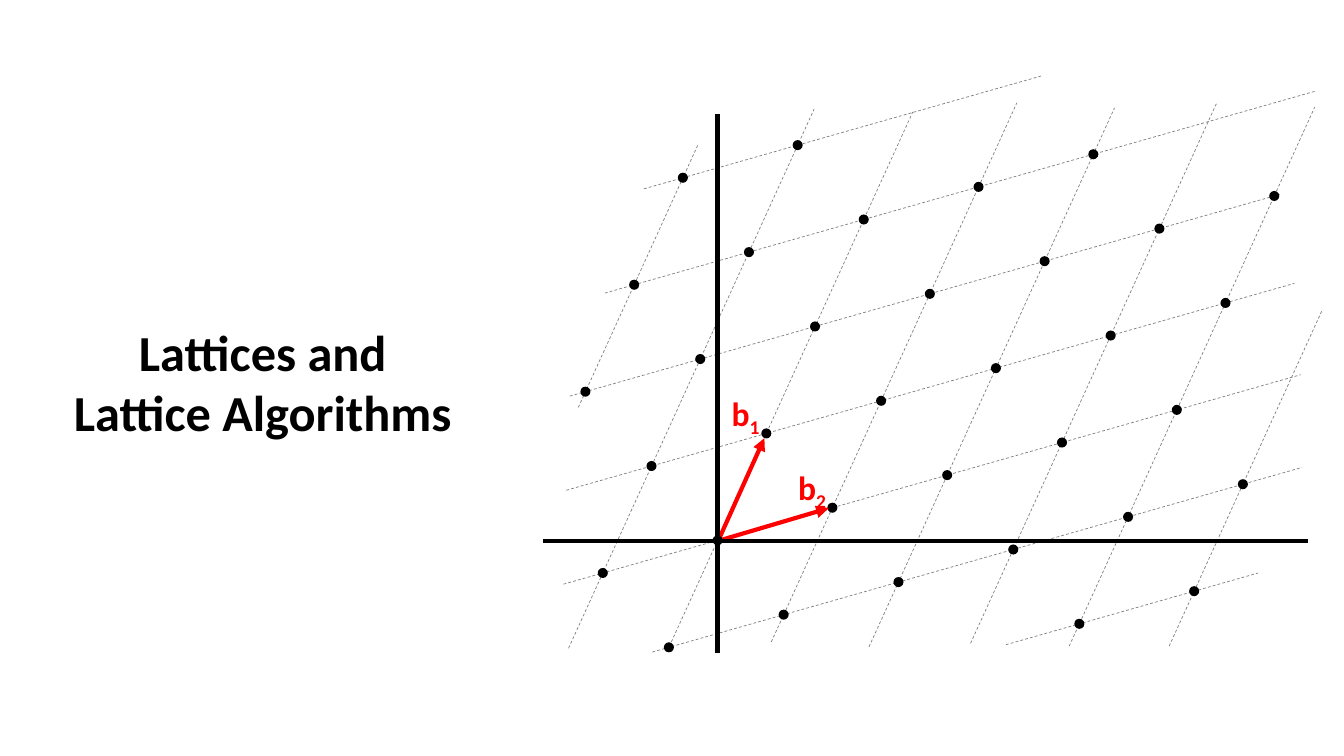
import pptx
import pptx.util
import pptx.dml.color
import pptx.enum.dml
import pptx.enum.shapes
import pptx.enum.text
import pptx.oxml
import pptx.oxml.ns
from pptx.util import Pt

BLACK = pptx.dml.color.RGBColor(0x00, 0x00, 0x00)
GRAY = pptx.dml.color.RGBColor(0x80, 0x80, 0x80)
RED = pptx.dml.color.RGBColor(0xFF, 0x00, 0x00)
FONT = "Calibri"

TITLE = ["Lattices and", "Lattice Algorithms"]
TITLE_BOX = (43, 225.5, 289.5, 94.5)
BASIS_LABELS = [("1", 511, 277), ("2", 558.5, 330)]

ORIGIN = (512.6, 386)
B1 = (34.8, -76.4)
B2 = (82, -23.3)
DOT = 7.2

# Multiple of b1: (first, last) multiple of b2 carrying a dot
DOT_RANGES = {-2: (4, 5), -1: (0, 5), 0: (-1, 4), 1: (-1, 4),
              2: (-2, 4), 3: (-2, 2), 4: (-2, -1)}
# Multiple of b1: left and right end of the line along b2
ROW_ENDS = {-2: (718.5, 898.5), -1: (466, 930), 0: (402.5, 929),
            1: (404.5, 924.5), 2: (407, 915), 3: (432, 939.5),
            4: (460, 744.5)}
# Multiple of b2: bottom and top end of the line along b1
COLUMN_ENDS = {-2: (291, 103.5), -1: (463, 78), 0: (465, 80),
               1: (458.5, 73.5), 2: (462, 77), 3: (459.5, 74),
               4: (461.5, 76.5), 5: (461.5, 222)}

AXES = [((388, 386.5), (934, 386.5)), ((512.5, 466.5), (512.5, 81.5))]
BASIS_ARROWS = [((512, 388.5), (546, 313)), ((512.5, 386.5), (592, 363))]

presentation = pptx.Presentation()
presentation.slide_width = Pt(960)
presentation.slide_height = Pt(540)
slide = presentation.slides.add_slide(presentation.slide_layouts[6])


def lattice_point(m, n):
    """Position of m * b1 + n * b2 on the slide."""
    return tuple(o + m * u + n * v for o, u, v in zip(ORIGIN, B1, B2))


def add_line(start, end, color, width, dash=None, arrow=False):
    line = slide.shapes.add_connector(
        pptx.enum.shapes.MSO_CONNECTOR.STRAIGHT,
        *(Pt(value) for value in (*start, *end)))
    line.line.color.rgb = color
    line.line.width = Pt(width)
    if dash:
        line.line.dash_style = dash
    if arrow:
        tail = pptx.oxml.ns.qn("a:tailEnd")
        line.line._get_or_add_ln().makeelement(tail)
        line.line._get_or_add_ln().append(
            line.line._get_or_add_ln().makeelement(tail, {"type": "triangle"}))
    properties = line._element.spPr
    properties.append(properties.makeelement(pptx.oxml.ns.qn("a:effectLst")))


def add_dot(m, n):
    x, y = lattice_point(m, n)
    dot = slide.shapes.add_shape(
        pptx.enum.shapes.MSO_SHAPE.OVAL,
        Pt(x - DOT / 2), Pt(y - DOT / 2), Pt(DOT), Pt(DOT))
    dot.shadow.inherit = False
    dot.fill.solid()
    dot.fill.fore_color.rgb = BLACK
    dot.line.fill.background()


def add_text(box, lines, size, color):
    """Centred bold text; each line is a list of (text, is_subscript)."""
    frame = slide.shapes.add_textbox(*(Pt(value) for value in box)).text_frame
    frame.word_wrap = True
    frame.auto_size = pptx.enum.text.MSO_AUTO_SIZE.SHAPE_TO_FIT_TEXT
    for index, pieces in enumerate(lines):
        paragraph = frame.add_paragraph() if index else frame.paragraphs[0]
        paragraph.alignment = pptx.enum.text.PP_ALIGN.CENTER
        for text, is_subscript in pieces:
            run = paragraph.add_run()
            run.text = text
            run.font.name = FONT
            run.font.size = Pt(size)
            run.font.bold = True
            run.font.color.rgb = color
            if is_subscript:
                run._r.get_or_add_rPr().set("baseline", "-25000")


grid_lines = []
for m, ends in ROW_ENDS.items():
    x, y = lattice_point(m, 0)
    grid_lines.append([(end, y + (end - x) * B2[1] / B2[0]) for end in ends])
for n, ends in COLUMN_ENDS.items():
    x, y = lattice_point(0, n)
    grid_lines.append([(x + (end - y) * B1[0] / B1[1], end) for end in ends])
for start, end in grid_lines:
    add_line(start, end, GRAY, 0.5, dash=pptx.enum.dml.MSO_LINE.DASH)

add_text(TITLE_BOX, [[(line, False)] for line in TITLE], 36, BLACK)

for m, (first, last) in DOT_RANGES.items():
    for n in range(first, last + 1):
        if (m, n) != (0, 0):
            add_dot(m, n)

for start, end in BASIS_ARROWS:
    add_line(start, end, RED, 3, arrow=True)
for start, end in AXES:
    add_line(start, end, BLACK, 3)
add_dot(0, 0)

for number, left, top in BASIS_LABELS:
    add_text((left, top, 43, 36), [[("b", False), (number, True)]], 24, RED)

presentation.save("out.pptx")
